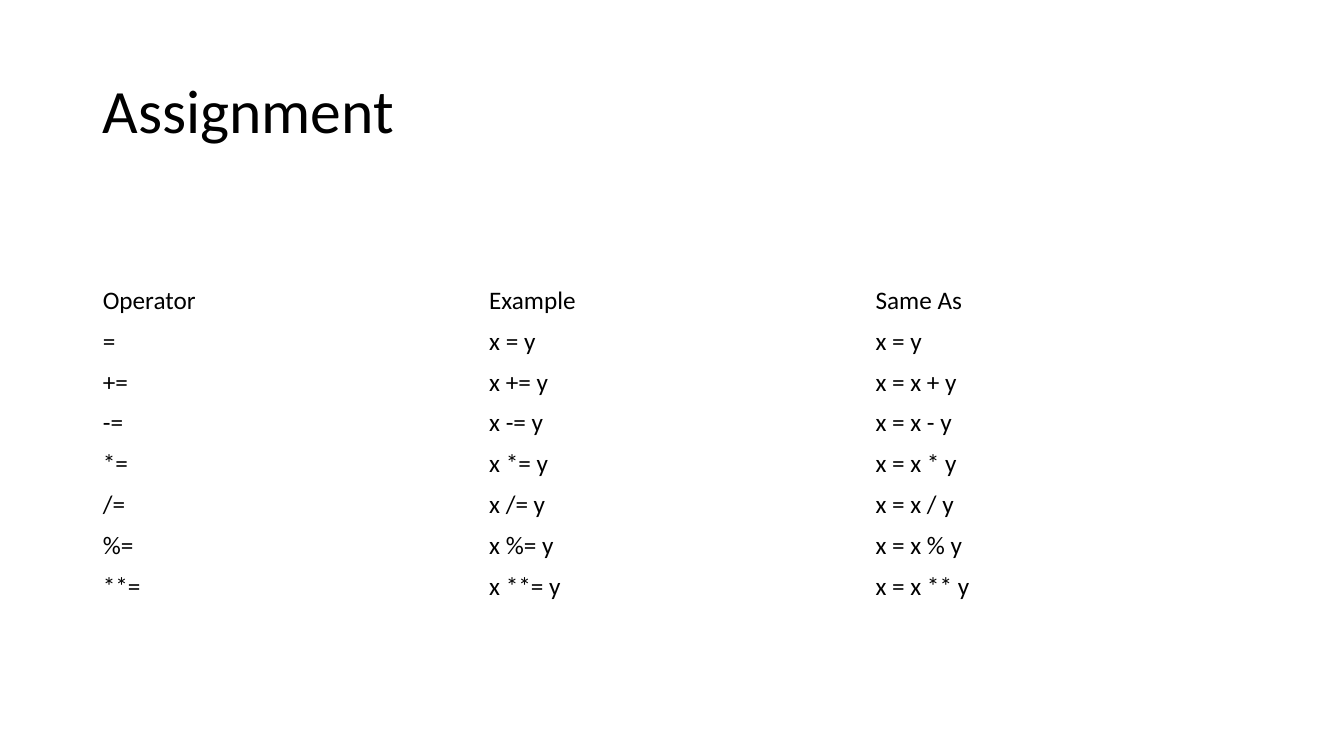
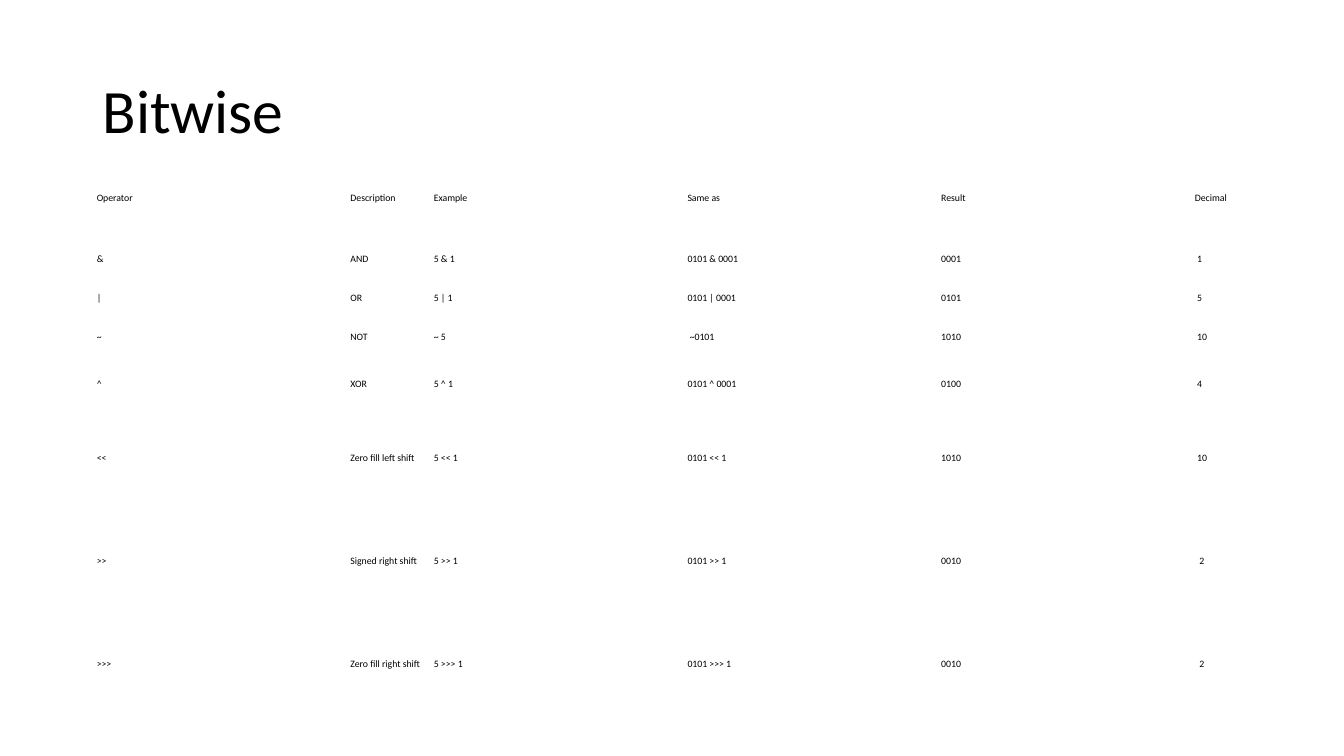
"""Build two slides that list assignment and bitwise operators."""
from pptx import Presentation
from pptx.dml.color import RGBColor
from pptx.enum import text as t
from pptx.util import Pt

BLACK = RGBColor(0, 0, 0)
WHITE = RGBColor(255, 255, 255)
FONT = "Calibri"
LEFT = 66.24
CONTENT_WIDTH = 828


def write(frame, text, size, spacing=1.0):
    paragraph = frame.paragraphs[0]
    paragraph.line_spacing = spacing
    run = paragraph.add_run()
    run.text = text
    run.font.name = FONT
    run.font.size = Pt(size)
    run.font.bold = False
    run.font.color.rgb = BLACK


assignment_rows = [
    ("Operator", "Example", "Same As"),
    ("=", "x = y", "x = y"),
    ("+=", "x += y", "x = x + y"),
    ("-=", "x -= y", "x = x - y"),
    ("*=", "x *= y", "x = x * y"),
    ("/=", "x /= y", "x = x / y"),
    ("%=", "x %= y", "x = x % y"),
    ("**=", "x **= y", "x = x ** y"),
]
bitwise_rows = [
    ("Operator", "Description", "Example", "Same as", "Result", "Decimal"),
    ("&", "AND", "5 & 1", "0101 & 0001", "0001", "1"),
    ("|", "OR", "5 | 1", "0101 | 0001", "0101", "5"),
    ("~", "NOT", "~ 5", "~0101", "1010", "10"),
    ("^", "XOR", "5 ^ 1", "0101 ^ 0001", "0100", "4"),
    ("<<", "Zero fill left shift", "5 << 1", "0101 << 1", "1010", "10"),
    (">>", "Signed right shift", "5 >> 1", "0101 >> 1", "0010", "2"),
    (">>>", "Zero fill right shift", "5 >>> 1", "0101 >>> 1", "0010", "2"),
]
bitwise_indents = {(row, 5): 1.6 for row in range(1, 6)}
bitwise_indents |= {(6, 5): 3.2, (7, 5): 3.2, (3, 3): 1.6}

topics = [
    dict(title="Assignment", rows=assignment_rows, top=200.16, size=18,
         widths=[CONTENT_WIDTH / 3] * 3, heights=[29.2] * 8,
         margins=(7.2, 3.6), indents={}),
    dict(title="Bitwise", rows=bitwise_rows, top=115.2, size=7,
         widths=[181.2, 59.6, 181.2, 181.2, 181.2, 54.7],
         heights=[53.3, 33.1, 23, 33.1, 33.1, 73.4, 73.4, 73.4],
         margins=(2.9, 1.45), indents=bitwise_indents),
]

deck = Presentation()
deck.slide_width, deck.slide_height = Pt(960), Pt(540)

for topic in topics:
    slide = deck.slides.add_slide(deck.slide_layouts[6])
    slide.background.fill.solid()
    slide.background.fill.fore_color.rgb = WHITE

    title = slide.shapes.add_textbox(Pt(LEFT), Pt(28.8), Pt(CONTENT_WIDTH), Pt(104.4)).text_frame
    title.word_wrap = True
    title.vertical_anchor = t.MSO_ANCHOR.MIDDLE
    write(title, topic["title"], size=44, spacing=0.9)

    rows, widths, heights = topic["rows"], topic["widths"], topic["heights"]
    operators = slide.shapes.add_table(
        len(rows), len(widths), Pt(LEFT), Pt(topic["top"]),
        Pt(sum(widths)), Pt(sum(heights))).table
    operators.first_row = operators.horz_banding = False
    for column, width in zip(operators.columns, widths):
        column.width = Pt(width)
    for row, height in zip(operators.rows, heights):
        row.height = Pt(height)

    side, edge = topic["margins"]
    for r, entries in enumerate(rows):
        for c, entry in enumerate(entries):
            cell = operators.cell(r, c)
            cell.fill.background()
            cell.vertical_anchor = t.MSO_ANCHOR.MIDDLE
            cell.margin_left = Pt(side + topic["indents"].get((r, c), 0))
            cell.margin_right = Pt(side)
            cell.margin_top = cell.margin_bottom = Pt(edge)
            write(cell.text_frame, entry, size=topic["size"])

deck.save("out.pptx")
